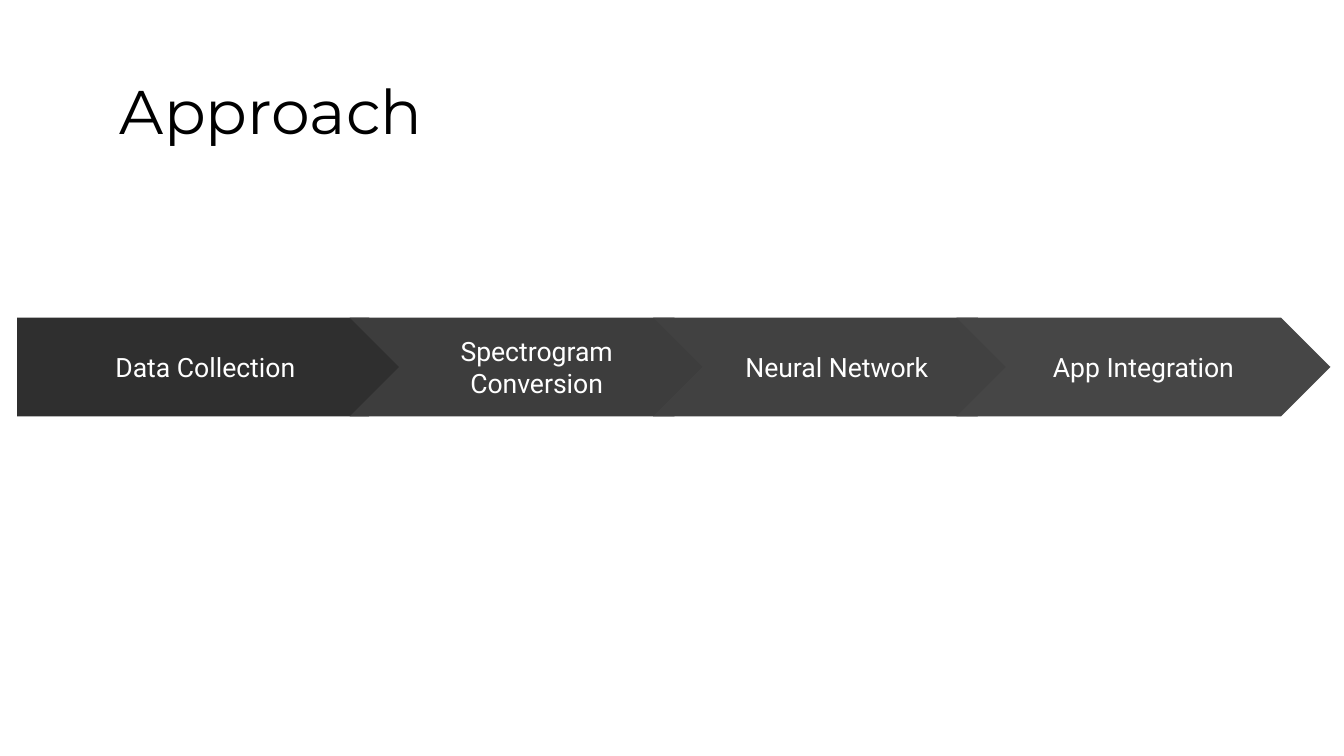
from dataclasses import dataclass

from pptx import Presentation
from pptx.dml.color import RGBColor
from pptx.enum.shapes import MSO_SHAPE
from pptx.enum.text import MSO_ANCHOR, PP_ALIGN
from pptx.slide import Slide
from pptx.text.text import TextFrame
from pptx.util import Pt

BLACK = RGBColor(0x00, 0x00, 0x00)
WHITE = RGBColor(0xFF, 0xFF, 0xFF)
COAL = RGBColor(0x2F, 0x2F, 0x2F)
SLATE = RGBColor(0x3D, 0x3D, 0x3D)
STONE = RGBColor(0x41, 0x41, 0x41)
ASH = RGBColor(0x46, 0x46, 0x46)

TOP = 226.8
HEIGHT = 70.6
FIRST = 249.8
PITCH = 216.7
WIDTH = 267.1


@dataclass(frozen=True)
class Step:
    label: str
    fill: RGBColor
    left: float
    width: float = WIDTH
    kind: MSO_SHAPE = MSO_SHAPE.CHEVRON


STEPS = [
    Step("Data Collection", COAL, 12.2, 286.6, MSO_SHAPE.PENTAGON),
    Step("Spectrogram Conversion", SLATE, FIRST),
    Step("Neural Network ", STONE, FIRST + PITCH),
    Step("App Integration", ASH, FIRST + 2 * PITCH),
]


def set_text(frame: TextFrame, text: str, font: str, size: float,
             color: RGBColor, inset: float, anchor: MSO_ANCHOR) -> None:
    frame.text = text
    frame.word_wrap = True
    frame.vertical_anchor = anchor
    frame.margin_left = frame.margin_right = Pt(inset)
    frame.margin_top = frame.margin_bottom = Pt(inset)
    line = frame.paragraphs[0]
    line.alignment = PP_ALIGN.CENTER
    for run in line.runs:
        run.font.name = font
        run.font.size = Pt(size)
        run.font.color.rgb = color


def add_title(slide: Slide) -> None:
    box = slide.shapes.add_textbox(Pt(-59), Pt(37.4), Pt(505.4), Pt(75.6))
    set_text(box.text_frame, "Approach", "Montserrat", 44, BLACK, 7.2,
             MSO_ANCHOR.BOTTOM)
    box.text_frame.paragraphs[0].line_spacing = 0.9


def add_step(slide: Slide, step: Step) -> None:
    shape = slide.shapes.add_shape(
        step.kind, Pt(step.left), Pt(TOP), Pt(step.width), Pt(HEIGHT))
    shape.adjustments[0] = 0.5
    shape.shadow.inherit = False
    shape.fill.solid()
    shape.fill.fore_color.rgb = step.fill
    shape.line.fill.background()
    set_text(shape.text_frame, step.label, "Roboto", 19, WHITE, 9.4,
             MSO_ANCHOR.MIDDLE)


def main() -> None:
    deck = Presentation()
    deck.slide_width = Pt(960)
    deck.slide_height = Pt(540)
    slide = deck.slides.add_slide(deck.slide_layouts[6])
    add_title(slide)
    for step in STEPS:
        add_step(slide, step)
    deck.save("out.pptx")


if __name__ == "__main__":
    main()
